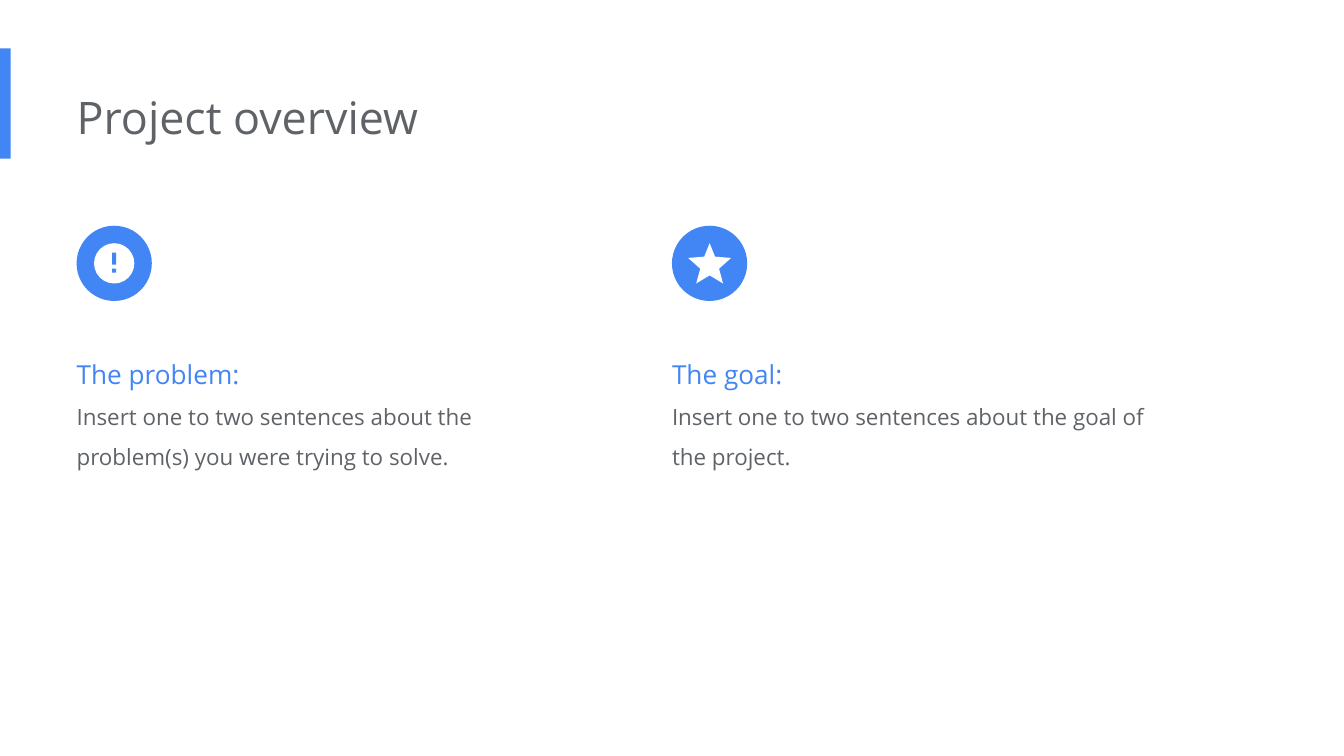
import pptx
import pptx.util
import pptx.dml.color
import pptx.enum.shapes
import pptx.enum.text
import lxml.etree
from dataclasses import dataclass
from pptx.util import Inches

SHAPES = pptx.enum.shapes.MSO_SHAPE


@dataclass(frozen=True)
class Theme:
    font: str = "Open Sans"
    blue: str = "4285F4"
    grey: str = "5F6368"
    white: str = "FFFFFF"
    title: int = 24
    heading: int = 14
    body: int = 12


class Page:
    def __init__(self, deck, layout, theme):
        self.slide = deck.slides.add_slide(layout)
        self.theme = theme

    def paint(self, shape, color):
        shape.shadow.inherit = False
        shape.fill.solid()
        shape.fill.fore_color.rgb = pptx.dml.color.RGBColor.from_string(color)
        shape.line.fill.background()

    def shape(self, kind, left, top, width, height, color):
        lengths = [Inches(value) for value in (left, top, width, height)]
        self.paint(self.slide.shapes.add_shape(kind, *lengths), color)

    def outline(self, points, color):
        corners = [(Inches(x), Inches(y)) for x, y in points]
        builder = self.slide.shapes.build_freeform(*corners[0])
        builder.add_line_segments(corners[1:], close=True)
        self.paint(builder.convert_to_shape(), color)

    def text(self, index, left, top, width, height, lines, spacing):
        """Fill a placeholder with (text, size, color) lines."""
        box = self.slide.placeholders[index]
        box.left, box.top = Inches(left), Inches(top)
        box.width, box.height = Inches(width), Inches(height)
        frame = box.text_frame
        frame.text = "\n".join(line[0] for line in lines)
        frame.word_wrap = True
        frame.auto_size = pptx.enum.text.MSO_AUTO_SIZE.NONE
        frame.vertical_anchor = pptx.enum.text.MSO_ANCHOR.TOP
        frame.margin_left = 0
        frame.margin_top = frame.margin_right = frame.margin_bottom = Inches(0.1)
        for para, (_, size, color) in zip(frame.paragraphs, lines):
            para.alignment = pptx.enum.text.PP_ALIGN.LEFT
            para.line_spacing = spacing
            para.space_before = para.space_after = pptx.util.Pt(0)
            # Plain paragraphs: no bullet, no hanging indent
            properties = para._p.get_or_add_pPr()
            properties.set("marL", "0")
            properties.set("indent", "0")
            lxml.etree.SubElement(properties, pptx.oxml.ns.qn("a:buNone"))
            for span in para.runs:
                span.font.name = self.theme.font
                span.font.size = pptx.util.Pt(size)
                span.font.color.rgb = pptx.dml.color.RGBColor.from_string(color)


# Widescreen deck, 16:9
theme = Theme()
deck = pptx.Presentation()
deck.slide_width, deck.slide_height = Inches(10), Inches(10 * 9 / 16)
page = Page(deck, deck.slide_layouts.get_by_name("Two Content"), theme)

# Accent bar and title
page.shape(SHAPES.RECTANGLE, 0, 0.36, 0.08, 0.82, theme.blue)
page.text(0, 0.57, 0.57, 6.73, 0.6,
          [("Project overview", theme.title, theme.grey)], 1.0)

# Two columns: badge, heading and description
problem_left, goal_left = 0.57, 5
badge_top, badge_size = 1.68, 0.56
columns = [
    (1, problem_left, "The problem: ",
     "Insert one to two sentences about the problem(s) you were trying to solve."),
    (2, goal_left, "The goal: ",
     "Insert one to two sentences about the goal of the project."),
]
for index, left, heading, description in columns:
    page.shape(SHAPES.OVAL, left, badge_top, badge_size, badge_size, theme.blue)
    page.text(index, left, 2.45, 3.77, 1.15,
              [(heading, theme.heading, theme.blue),
               (description, theme.body, theme.grey)], 1.5)

# Exclamation mark in the problem badge
center = problem_left + badge_size / 2
page.shape(SHAPES.OVAL, center - 0.15, 1.81, 0.3, 0.3, theme.white)
for top, height in [(1.88, 0.09), (2, 0.03)]:
    page.shape(SHAPES.RECTANGLE, center - 0.015, top, 0.03, height, theme.blue)

# Star in the goal badge: right half, mirrored about the centre
center = goal_left + badge_size / 2
right_half = [(0, 1.81), (0.04, 1.91), (0.16, 1.92),
              (0.07, 2), (0.1, 2.11), (0, 2.05)]
star = [(center + x, y) for x, y in right_half]
star += [(center - x, y) for x, y in right_half[-2:0:-1]]
page.outline(star, theme.white)

deck.save("out.pptx")
